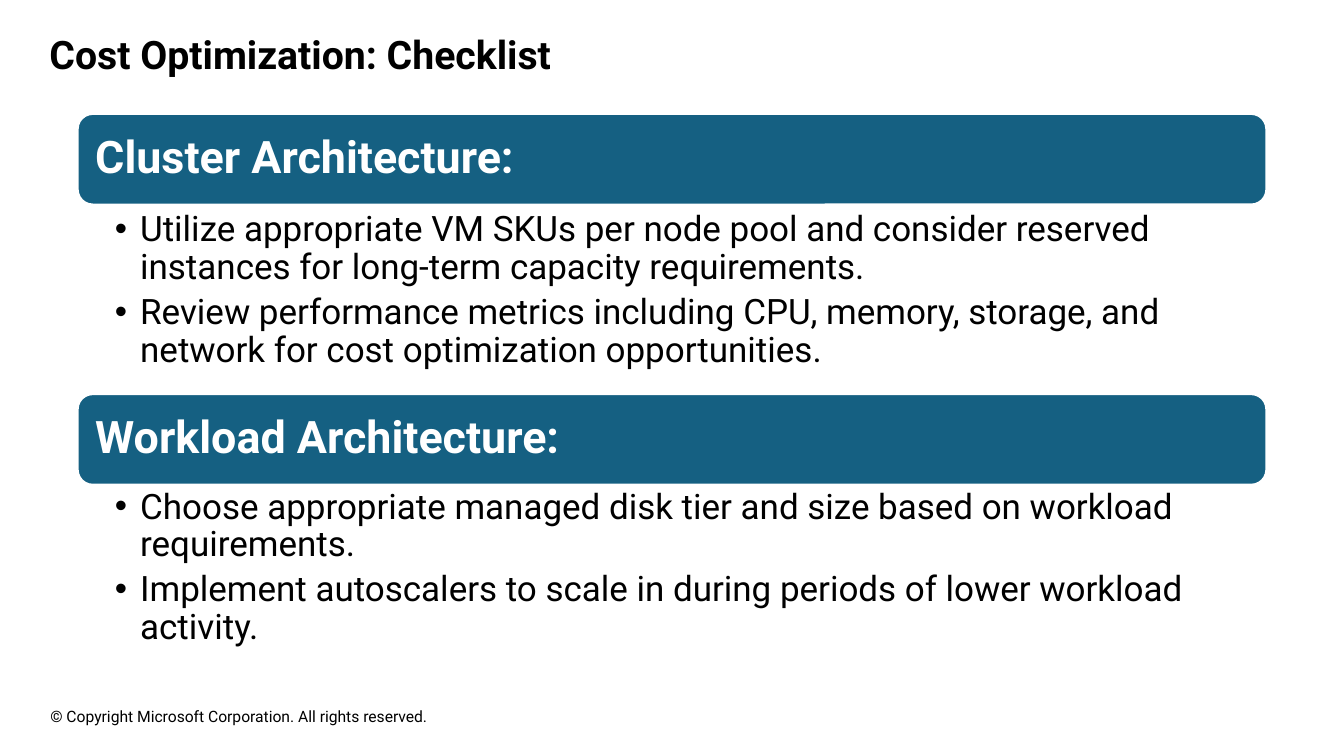
from dataclasses import dataclass

from lxml.etree import SubElement
from pptx import Presentation
from pptx.dml.color import RGBColor
from pptx.enum.shapes import MSO_SHAPE
from pptx.enum.text import MSO_ANCHOR, MSO_AUTO_SIZE, PP_ALIGN
from pptx.oxml.ns import qn
from pptx.util import Inches, Pt


@dataclass(frozen=True)
class Theme:
    font: str = "Roboto"
    ink: str = "000000"
    paper: str = "FFFFFF"
    band: str = "156082"
    title: float = 28
    heading: float = 32
    body: float = 25
    footer: float = 11.2


THEME = Theme()
WIDTH, HEIGHT = 13.33, 7.5
LEFT, COLUMN = 0.77, 11.79
FIRST_BAND, SECTION_PITCH = 1.13, 2.78
BAND_HEIGHT, BODY_HEIGHT = 0.9, 1.85

# Heading, gap between band and list, list items
SECTIONS = [
    ("Cluster Architecture:", 0.03, [
        "Utilize appropriate VM SKUs per node pool and consider reserved "
        "instances for long-term capacity requirements.",
        "Review performance metrics including CPU, memory, storage, and "
        "network for cost optimization opportunities.",
    ]),
    ("Workload Architecture:", 0, [
        "Choose appropriate managed disk tier and size based on workload requirements.",
        "Implement autoscalers to scale in during periods of lower workload activity.",
    ]),
]


def box(*lengths):
    return [Inches(n) for n in lengths]


def color(value):
    return RGBColor.from_string(value)


def set_frame(tf, insets, anchor=MSO_ANCHOR.TOP):
    tf.word_wrap = True
    tf.auto_size = MSO_AUTO_SIZE.NONE
    tf.vertical_anchor = anchor
    tf.margin_left, tf.margin_top, tf.margin_right, tf.margin_bottom = box(*insets)


def add_bullet(p):
    pPr = p._p.get_or_add_pPr()
    pPr.set("marL", str(Inches(0.25)))
    pPr.set("indent", str(Inches(-0.25)))
    SubElement(pPr, qn("a:buFont")).set("typeface", "Arial")
    SubElement(pPr, qn("a:buChar")).set("char", "•")


def write(tf, *texts, size, ink=THEME.ink, bold=False, bullet=False, spacing=1, after=0):
    for i, text in enumerate(texts):
        p = tf.add_paragraph() if i else tf.paragraphs[0]
        if bullet:
            add_bullet(p)
        p.alignment = PP_ALIGN.LEFT
        p.line_spacing = spacing
        p.space_before, p.space_after = Pt(0), Pt(after)
        r = p.add_run()
        r.text = text
        r.font.name, r.font.size, r.font.bold = THEME.font, Pt(size), bold
        r.font.color.rgb = color(ink)


def add_title(s, text):
    sp = s.shapes.title
    sp.left, sp.top, sp.width, sp.height = box(0.39, 0.25, WIDTH / 2, 0.57)
    set_frame(sp.text_frame, (0.1, 0.05, 0.1, 0.05))
    write(sp.text_frame, text, size=THEME.title, bold=True)


def add_band(s, top, text):
    sp = s.shapes.add_shape(MSO_SHAPE.ROUNDED_RECTANGLE, *box(LEFT, top, COLUMN, BAND_HEIGHT))
    sp.shadow.inherit = False
    sp.fill.solid()
    sp.fill.fore_color.rgb = color(THEME.band)
    sp.line.color.rgb = color(THEME.paper)
    sp.line.width = Pt(1.5)
    set_frame(sp.text_frame, (0.13, 0.13, 0.13, 0.13), MSO_ANCHOR.MIDDLE)
    write(sp.text_frame, text, size=THEME.heading, ink=THEME.paper, bold=True, spacing=0.9)


def add_text(s, place, insets, *texts, **fmt):
    tf = s.shapes.add_textbox(*box(*place)).text_frame
    set_frame(tf, insets)
    write(tf, *texts, **fmt)


def main():
    prs = Presentation()
    prs.slide_width, prs.slide_height = box(WIDTH, HEIGHT)
    s = prs.slides.add_slide(prs.slide_layouts[5])
    add_title(s, "Cost Optimization: Checklist")
    for i, (heading, gap, items) in enumerate(SECTIONS):
        top = FIRST_BAND + i * SECTION_PITCH
        add_band(s, top, heading)
        add_text(s, (LEFT, top + BAND_HEIGHT + gap, COLUMN, BODY_HEIGHT),
                 (0.37, 0.04, 0.25, 0.04), *items,
                 size=THEME.body, bullet=True, spacing=0.9, after=THEME.body * 0.2)
    add_text(s, (0.5, 7.01, 4.06, 0.19), (0, 0, 0, 0),
             "© Copyright Microsoft Corporation. All rights reserved.", size=THEME.footer)
    prs.save("out.pptx")


if __name__ == "__main__":
    main()
